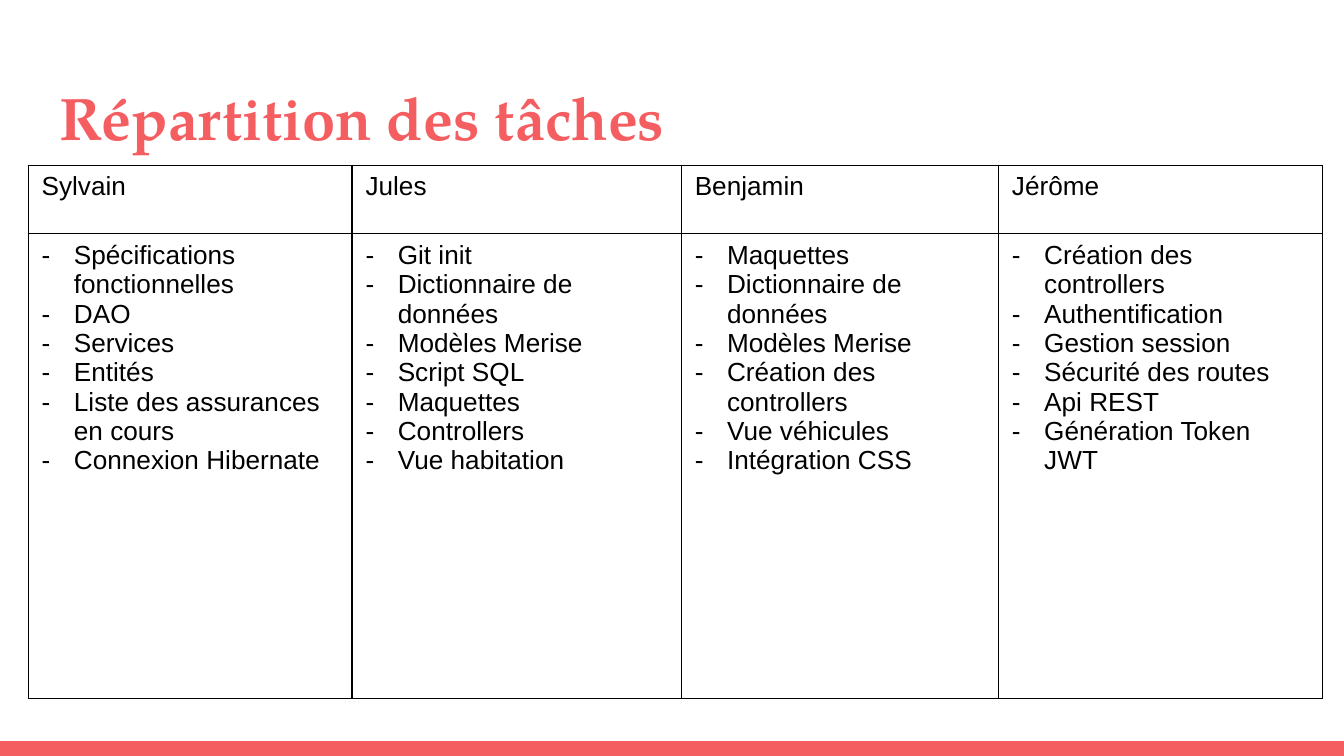
from dataclasses import dataclass

from lxml.etree import SubElement
from pptx import Presentation
from pptx.dml.color import RGBColor
from pptx.enum.shapes import MSO_SHAPE
from pptx.enum.text import MSO_ANCHOR, MSO_AUTO_SIZE, PP_ALIGN
from pptx.oxml.ns import qn
from pptx.util import Inches, Pt

CORAL = RGBColor(0xF5, 0x5E, 0x61)
BLACK = RGBColor(0, 0, 0)
TITLE_FONT = "TeX Gyre Pagella"
BODY_FONT = "Arial"
SLIDE_WIDTH = Inches(10)
SLIDE_HEIGHT = SLIDE_WIDTH * 9 // 16
HEADER_HEIGHT, TASKS_HEIGHT = 0.51, 3.46


@dataclass(frozen=True)
class Member:
    """A team member, the width of their column and their tasks."""
    name: str
    width: float
    tasks: tuple[str, ...]


TEAM = (
    Member("Sylvain", 2.41, (
        "Spécifications fonctionnelles", "DAO", "Services", "Entités",
        "Liste des assurances en cours", "Connexion Hibernate")),
    Member("Jules", 2.45, (
        "Git init", "Dictionnaire de données", "Modèles Merise", "Script SQL",
        "Maquettes", "Controllers", "Vue habitation")),
    Member("Benjamin", 2.36, (
        "Maquettes", "Dictionnaire de données", "Modèles Merise",
        "Création des controllers", "Vue véhicules", "Intégration CSS")),
    Member("Jérôme", 2.41, (
        "Création des controllers", "Authentification", "Gestion session",
        "Sécurité des routes", "Api REST", "Génération Token JWT")),
)


def add_title(slide, text: str) -> None:
    """Place and format the slide title."""
    title = slide.shapes.title
    title.left, title.top = Inches(0.34), Inches(0.5)
    title.width, title.height = Inches(9.32), Inches(0.63)
    frame = title.text_frame
    frame.text = text
    frame.word_wrap = True
    frame.auto_size = MSO_AUTO_SIZE.NONE
    frame.vertical_anchor = MSO_ANCHOR.TOP
    frame.margin_left = frame.margin_right = Inches(0.1)
    frame.margin_top = frame.margin_bottom = Inches(0.1)
    paragraph = frame.paragraphs[0]
    paragraph.alignment = PP_ALIGN.LEFT
    font = paragraph.runs[0].font
    font.name, font.size, font.bold = TITLE_FONT, Pt(32), True
    font.color.rgb = CORAL


def add_footer_bar(slide) -> None:
    """Draw the coral band along the bottom edge."""
    height = Inches(0.11)
    bar = slide.shapes.add_shape(
        MSO_SHAPE.RECTANGLE, 0, SLIDE_HEIGHT - height, SLIDE_WIDTH, height)
    bar.shadow.inherit = False
    bar.fill.solid()
    bar.fill.fore_color.rgb = CORAL
    bar.line.fill.background()


def add_borders(cell) -> None:
    """Give a cell thin black borders on all four sides."""
    properties = cell._tc.get_or_add_tcPr()
    for side in ("a:lnL", "a:lnR", "a:lnT", "a:lnB"):
        line = SubElement(properties, qn(side), w=str(Pt(0.75)))
        fill = SubElement(line, qn("a:solidFill"))
        SubElement(fill, qn("a:srgbClr"), val=str(BLACK))


def add_dash(paragraph) -> None:
    """Turn a paragraph into a dash list item with a hanging indent."""
    properties = paragraph._p.get_or_add_pPr()
    indent = Inches(0.24)
    properties.set("marL", str(indent))
    properties.set("indent", str(-indent))
    SubElement(properties, qn("a:buFont"), typeface=BODY_FONT)
    SubElement(properties, qn("a:buChar"), char="-")


def fill_cell(cell, lines: tuple[str, ...], dashed: bool) -> None:
    """Write one paragraph per line in a bordered, unfilled cell."""
    add_borders(cell)
    cell.fill.background()
    cell.text_frame.text = "\n".join(lines)
    for paragraph in cell.text_frame.paragraphs:
        if dashed:
            add_dash(paragraph)
        font = paragraph.runs[0].font
        font.name, font.size = BODY_FONT, Pt(14)
        font.color.rgb = BLACK


def add_task_table(slide, team: tuple[Member, ...]) -> None:
    """Add the table with one column per team member."""
    width = sum(member.width for member in team)
    table = slide.shapes.add_table(
        2, len(team), Inches(0.21), Inches(1.23),
        Inches(width), Inches(HEADER_HEIGHT + TASKS_HEIGHT)).table
    table.first_row = table.horz_banding = False
    table.rows[0].height = Inches(HEADER_HEIGHT)
    table.rows[1].height = Inches(TASKS_HEIGHT)
    for index, member in enumerate(team):
        table.columns[index].width = Inches(member.width)
        fill_cell(table.cell(0, index), (member.name,), dashed=False)
        fill_cell(table.cell(1, index), member.tasks, dashed=True)


def main() -> None:
    """Build and save the presentation."""
    deck = Presentation()
    deck.slide_width, deck.slide_height = SLIDE_WIDTH, SLIDE_HEIGHT
    slide = deck.slides.add_slide(deck.slide_layouts.get_by_name("Title Only"))
    add_footer_bar(slide)
    add_title(slide, "Répartition des tâches")
    add_task_table(slide, TEAM)
    deck.save("out.pptx")


main()
